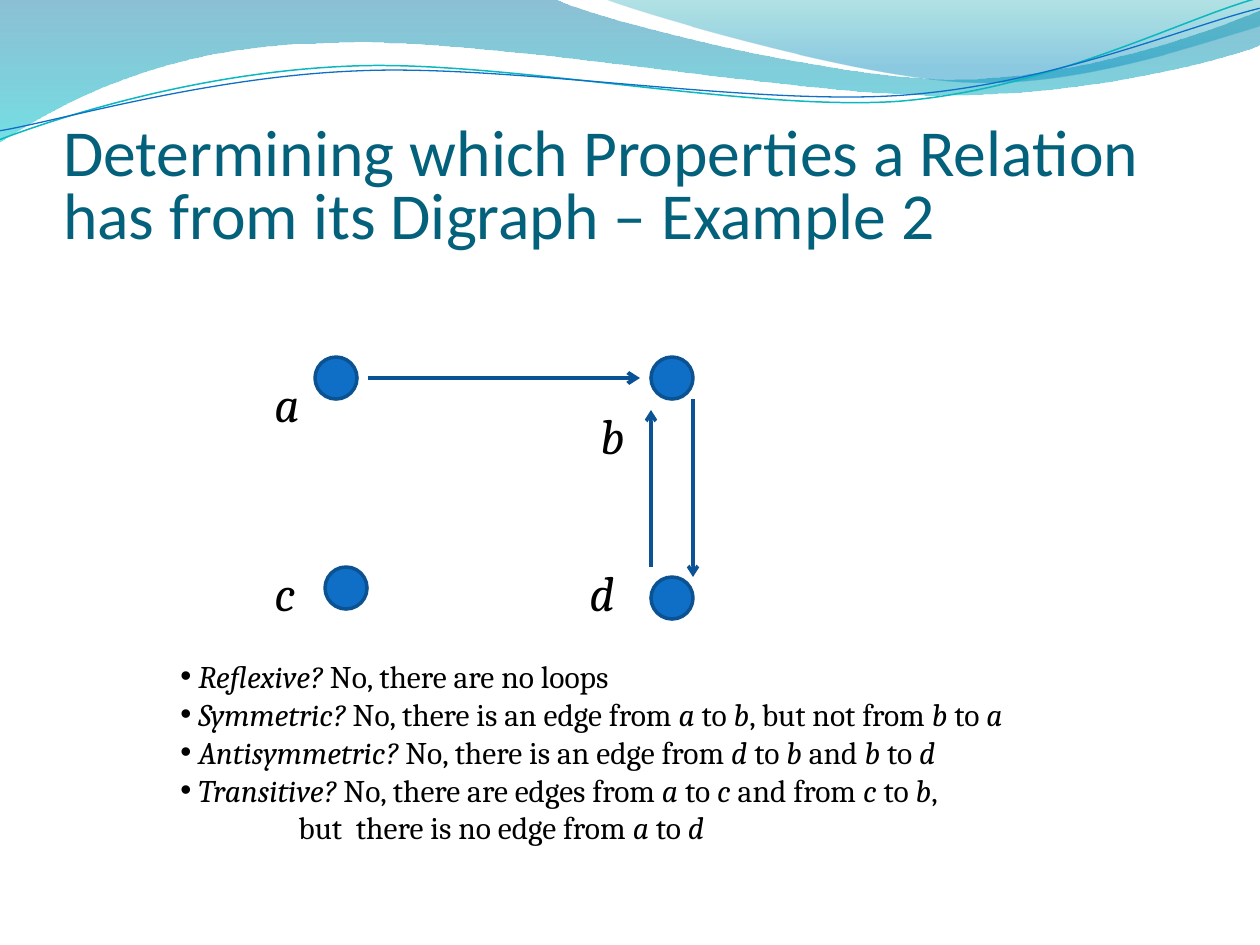
from lxml import etree
from pptx import Presentation
from pptx.dml.color import RGBColor
from pptx.enum.shapes import MSO_CONNECTOR, MSO_SHAPE
from pptx.enum.text import MSO_ANCHOR, MSO_AUTO_SIZE, PP_ALIGN
from pptx.oxml.ns import qn
from pptx.util import Pt

OVAL = MSO_SHAPE.OVAL
STRAIGHT = MSO_CONNECTOR.STRAIGHT
BOTTOM = MSO_ANCHOR.BOTTOM
FIXED = MSO_AUTO_SIZE.NONE
GROW = MSO_AUTO_SIZE.SHAPE_TO_FIT_TEXT
LEFT = PP_ALIGN.LEFT
SCALE = 914400 / 126


def px(n):
    return round(n * SCALE)


def color(text):
    return RGBColor.from_string(text)


def style(run, face, size, tint, slant=False):
    font = run.font
    font.name, font.size, font.italic = face, Pt(size), slant
    font.color.rgb = color(tint)


# Outline of straight steps (x, y) and curves (two handles and an end)
def trace(slide, box, start, steps, close):
    left, top = box[:2]
    spots = [(px(left + s[-2]), px(top + s[-1])) for s in [start] + steps]
    pen = slide.shapes.build_freeform(*spots[0], scale=1.0)
    pen.add_line_segments(spots[1:], close=close)
    shape = pen.convert_to_shape()
    shape.shadow.inherit = False
    lines = list(shape._element.iter(qn("a:lnTo")))
    for line, step in zip(lines, steps):
        if len(step) == 6:
            bend = etree.Element(qn("a:cubicBezTo"))
            for x, y in zip(step[::2], step[1::2]):
                etree.SubElement(bend, qn("a:pt"),
                                 x=str(px(left + x) - shape.left),
                                 y=str(px(top + y) - shape.top))
            line.getparent().replace(line, bend)
    return shape


# Header waves
def add_waves(slide, box):
    bands = [
        ((0, 0), [(554, -1), (600, 21, 837, 79, 955, 79),
                  (1075, 79, 1207, 33, 1260, 11), (1261, 45),
                  (1239, 55, 1096, 96, 940, 95), (784, 95, 481, 35, 324, 43),
                  (163, 45, 58, 105, -1, 142), (0, 0)],
         [(0, "0074A1", 45), (1, "00C6CF", 55)]),
        ((604, -1), [(641, 14, 859, 78, 969, 82),
                     (1081, 87, 1211, 40, 1260, 26), (1260, 0), (604, -1)],
         [(0, "00A1A9", 30), (0.8, "008BBF", 45)]),
    ]
    for start, steps, stops in bands:
        band = trace(slide, box, start, steps, True)
        band.line.fill.background()
        band.fill.gradient()
        band.fill.gradient_angle = 270
        for stop, (place, tint, _) in zip(band.fill.gradient_stops, stops):
            stop.position = place
            stop.color.rgb = color(tint)
        tints = band.fill._xPr.iter(qn("a:srgbClr"))
        for node, (_, _, alpha) in zip(tints, stops):
            etree.SubElement(node, qn("a:alpha"), val=str(alpha * 1000))

    strands = [
        ((-3, 110), [(58, 90, 199, 52, 350, 53), (499, 53, 745, 117, 896, 114),
                     (1049, 109, 1184, 45, 1260, 28)], "0AB8BF", 0.85),
        ((-2, 101), [(57, 94, 207, 57, 357, 58), (509, 58, 750, 112, 902, 108),
                     (1052, 104, 1189, 52, 1262, 38)], "0F6FC6", 0.75),
    ]
    for start, steps, tint, width in strands:
        strand = trace(slide, box, start, steps, False)
        strand.rotation = 357.3
        strand.fill.background()
        strand.line.color.rgb = color(tint)
        strand.line.width = Pt(width)


# Title
def add_title(slide, box, text):
    title = slide.shapes.title
    title.left, title.top, title.width, title.height = map(px, box)
    frame = title.text_frame
    frame.text = text
    frame.auto_size, frame.word_wrap = FIXED, True
    frame.vertical_anchor = BOTTOM
    frame.margin_left = frame.margin_right = frame.margin_bottom = 0
    line = frame.paragraphs[0]
    line.alignment, line.line_spacing = LEFT, 0.8
    style(line.runs[0], "Calibri", 37.5, "04617B")


# Digraph
def add_graph(slide, box):
    left, top = box[:2]
    nodes = [("a", 39, 0, -14, 10), ("b", 375, 0, 312, 42),
             ("c", 49, 210, -14, 199), ("d", 375, 220, 301, 199)]
    for name, x, y, tag_x, tag_y in nodes:
        dot = slide.shapes.add_shape(OVAL, px(left + x), px(top + y), px(42), px(42))
        dot.shadow.inherit = False
        dot.fill.solid()
        dot.fill.fore_color.rgb = color("0F6FC6")
        dot.line.color.rgb = color("0B5292")
        dot.line.width = Pt(2)
        tag = slide.shapes.add_textbox(px(left + tag_x), px(top + tag_y), px(53), px(72))
        frame = tag.text_frame
        frame.word_wrap, frame.auto_size = True, GROW
        frame.text = name
        style(frame.paragraphs[0].runs[0], "Cambria", 28, "000000", True)

    edges = [((92, 21), (364, 21), "095295", 2.25),
             ((375, 210), (375, 53), "0B5394", 2),
             ((417, 42), (417, 220), "0B5394", 2)]
    for (x1, y1), (x2, y2), tint, width in edges:
        edge = slide.shapes.add_connector(STRAIGHT, px(left + x1), px(top + y1),
                                          px(left + x2), px(top + y2))
        edge.line.color.rgb = color(tint)
        edge.line.width = Pt(width)
        etree.SubElement(edge.line._get_or_add_ln(), qn("a:tailEnd"), type="arrow")
        etree.SubElement(edge._element.spPr, qn("a:effectLst"))


# Answers: asterisks enclose italic words
def add_list(slide, box, lines):
    frame = slide.shapes.add_textbox(*map(px, box)).text_frame
    frame.word_wrap, frame.auto_size = True, GROW
    for i, (text, bullet) in enumerate(lines):
        line = frame.add_paragraph() if i else frame.paragraphs[0]
        for j, part in enumerate(text.split("*")):
            if part:
                run = line.add_run()
                run.text = part
                style(run, "Cambria", 18, "000000", j % 2 == 1)
        props = line._p.get_or_add_pPr()
        props.set("marL", str(px(18 if bullet else 118)))
        props.set("indent", str(px(-18 if bullet else 0)))
        if bullet:
            etree.SubElement(props, qn("a:buFont"), typeface="Arial")
            etree.SubElement(props, qn("a:buChar"), char="•")


deck = Presentation()
deck.slide_width, deck.slide_height = px(1260), px(945)
slide = deck.slides.add_slide(deck.slide_layouts[5])
add_waves(slide, (0, 0, 1260, 142))
add_title(slide, (63, 94, 1134, 158),
          "Determining which Properties a Relation has from its Digraph – Example 2")
add_graph(slide, (276, 357, 417, 263))
add_list(slide, (168, 651, 1008, 204), [
    ("*Reflexive?* No, there are no loops", True),
    ("*Symmetric?* No, there is an edge from *a* to *b*, but not from *b* to *a*", True),
    ("*Antisymmetric?* No, there is an edge from *d* to *b* and *b* to *d*", True),
    ("*Transitive?* No, there are edges from *a* to *c* and from *c* to *b*,", True),
    ("but  there is no edge from *a* to *d*", False),
])
deck.save("out.pptx")
